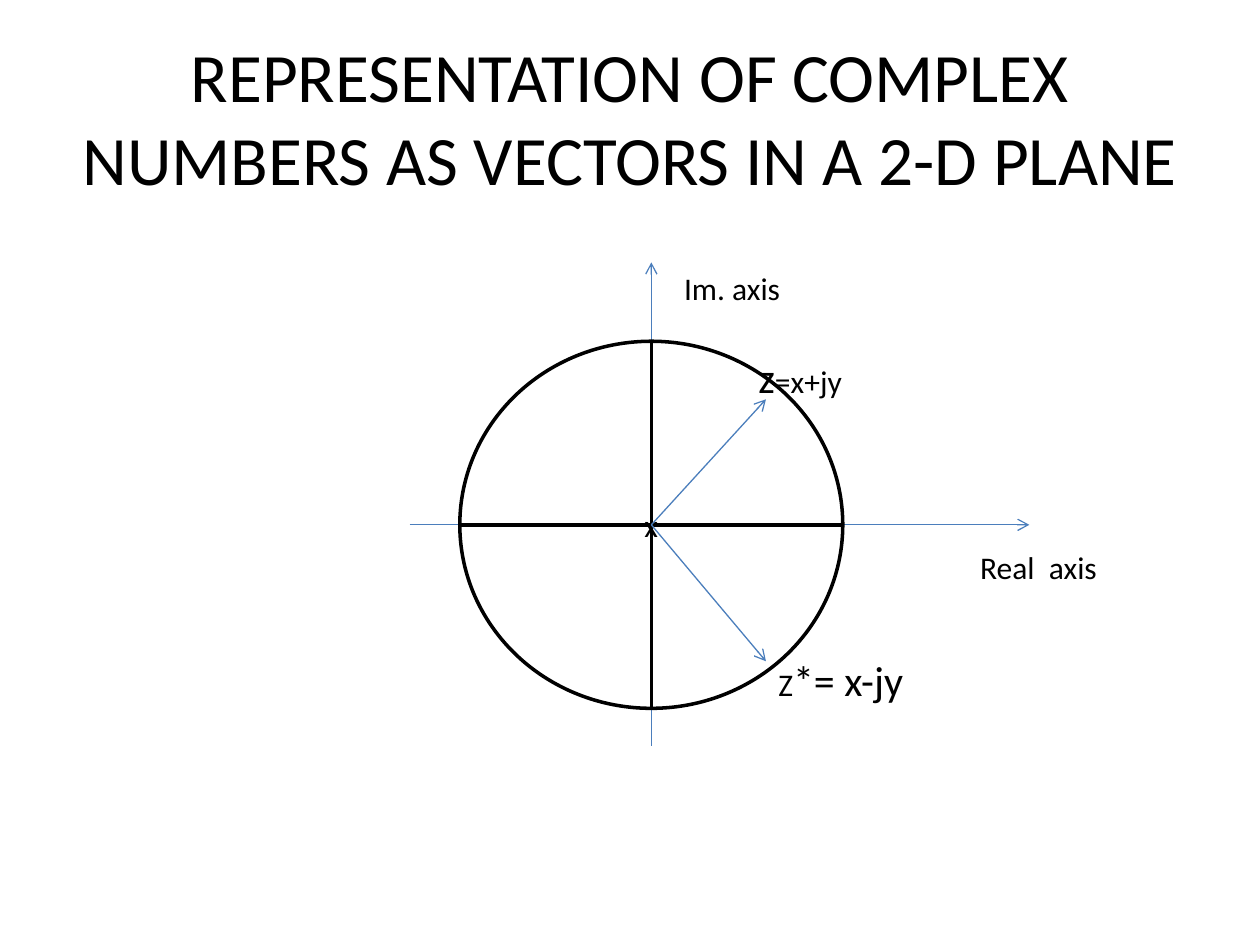
from dataclasses import dataclass

import pptx
import pptx.dml.color
import pptx.enum.shapes
import pptx.enum.text
import pptx.oxml
import pptx.oxml.ns
import pptx.util

Cm = pptx.util.Cm
Pt = pptx.util.Pt
RGB = pptx.dml.color.RGBColor
Align = pptx.enum.text.PP_ALIGN
Anchor = pptx.enum.text.MSO_ANCHOR


@dataclass(frozen=True)
class Theme:
    font: str = "Calibri"
    ink: RGB = RGB(0x00, 0x00, 0x00)
    paper: RGB = RGB(0xFF, 0xFF, 0xFF)
    arrow: RGB = RGB(0x4B, 0x7E, 0xBC)
    title_size: float = 39.6
    label_size: float = 18
    large_size: float = 24
    arrow_width: float = 0.75
    circle_width: float = 2


@dataclass(frozen=True)
class Arrow:
    """Start and tip in centimetres."""
    start: tuple[float, float]
    tip: tuple[float, float]


@dataclass(frozen=True)
class Label:
    """Runs of (text, size) in a box given in centimetres."""
    runs: list[tuple[str, float]]
    box: tuple[float, float, float, float]


THEME = Theme()
ORIGIN_X, ORIGIN_Y = 13.13, 10.58
ORIGIN = (ORIGIN_X, ORIGIN_Y)
RADIUS_X, RADIUS_Y = 3.86, 3.7
VECTOR_TIP_X = 15.44

AXES = [
    Arrow((8.26, ORIGIN_Y), (20.75, ORIGIN_Y)),
    Arrow((ORIGIN_X, 15.03), (ORIGIN_X, 5.29)),
]
VECTORS = [
    Arrow(ORIGIN, (VECTOR_TIP_X, 8.05)),
    Arrow(ORIGIN, (VECTOR_TIP_X, 13.33)),
]
LABELS = [
    Label([("z", THEME.large_size), ("=x+jy", THEME.label_size)], (15.04, 6.97, 2.54, 1.28)),
    Label([("Z", THEME.label_size), ("*= x-jy", THEME.large_size)], (15.44, 13.06, 3.18, 1.28)),
    Label([("Im. axis", THEME.label_size)], (13.54, 5.29, 2.46, 1.03)),
    Label([("Real  axis", THEME.label_size)], (19.51, 10.93, 2.9, 1.03)),
]


def write(frame, runs: list[tuple[str, float]], *, align=Align.LEFT,
          anchor=Anchor.TOP, wrap: bool = False) -> None:
    frame.word_wrap = wrap
    frame.vertical_anchor = anchor
    paragraph = frame.paragraphs[0]
    paragraph.alignment = align
    for text, size in runs:
        run = paragraph.add_run()
        run.text = text
        run.font.name = THEME.font
        run.font.size = Pt(size)
        run.font.color.rgb = THEME.ink


def draw_arrow(slide, arrow: Arrow) -> None:
    line = slide.shapes.add_connector(
        pptx.enum.shapes.MSO_CONNECTOR.STRAIGHT,
        *(Cm(value) for value in arrow.start + arrow.tip))
    line.line.color.rgb = THEME.arrow
    line.line.width = Pt(THEME.arrow_width)
    head = pptx.oxml.parse_xml(
        f'<a:tailEnd {pptx.oxml.ns.nsdecls("a")} type="arrow"/>')
    line.line._get_or_add_ln().append(head)
    line._element.spPr.append(
        pptx.oxml.parse_xml(f'<a:effectLst {pptx.oxml.ns.nsdecls("a")}/>'))


def draw_circle(slide) -> None:
    circle = slide.shapes.add_shape(
        pptx.enum.shapes.MSO_SHAPE.FLOWCHART_OR,
        Cm(ORIGIN_X - RADIUS_X), Cm(ORIGIN_Y - RADIUS_Y),
        Cm(2 * RADIUS_X), Cm(2 * RADIUS_Y))
    circle.shadow.inherit = False
    circle.fill.solid()
    circle.fill.fore_color.rgb = THEME.paper
    circle.line.color.rgb = THEME.ink
    circle.line.width = Pt(THEME.circle_width)
    write(circle.text_frame, [("x", THEME.label_size)],
          align=Align.CENTER, anchor=Anchor.MIDDLE, wrap=True)


def draw_label(slide, label: Label, **text_format) -> None:
    box = slide.shapes.add_textbox(*(Cm(value) for value in label.box))
    write(box.text_frame, label.runs, **text_format)


def main() -> None:
    deck = pptx.Presentation()
    deck.slide_width, deck.slide_height = Cm(25.4), Cm(19.05)
    slide = deck.slides.add_slide(deck.slide_layouts[6])

    title = Label([("REPRESENTATION OF COMPLEX NUMBERS AS VECTORS IN A 2-D PLANE",
                    THEME.title_size)], (1.27, 0.76, 22.86, 3.18))
    draw_label(slide, title, align=Align.CENTER, anchor=Anchor.MIDDLE, wrap=True)
    for axis in AXES:
        draw_arrow(slide, axis)
    draw_circle(slide)
    for vector in VECTORS:
        draw_arrow(slide, vector)
    for label in LABELS:
        draw_label(slide, label)

    deck.save("out.pptx")


if __name__ == "__main__":
    main()
